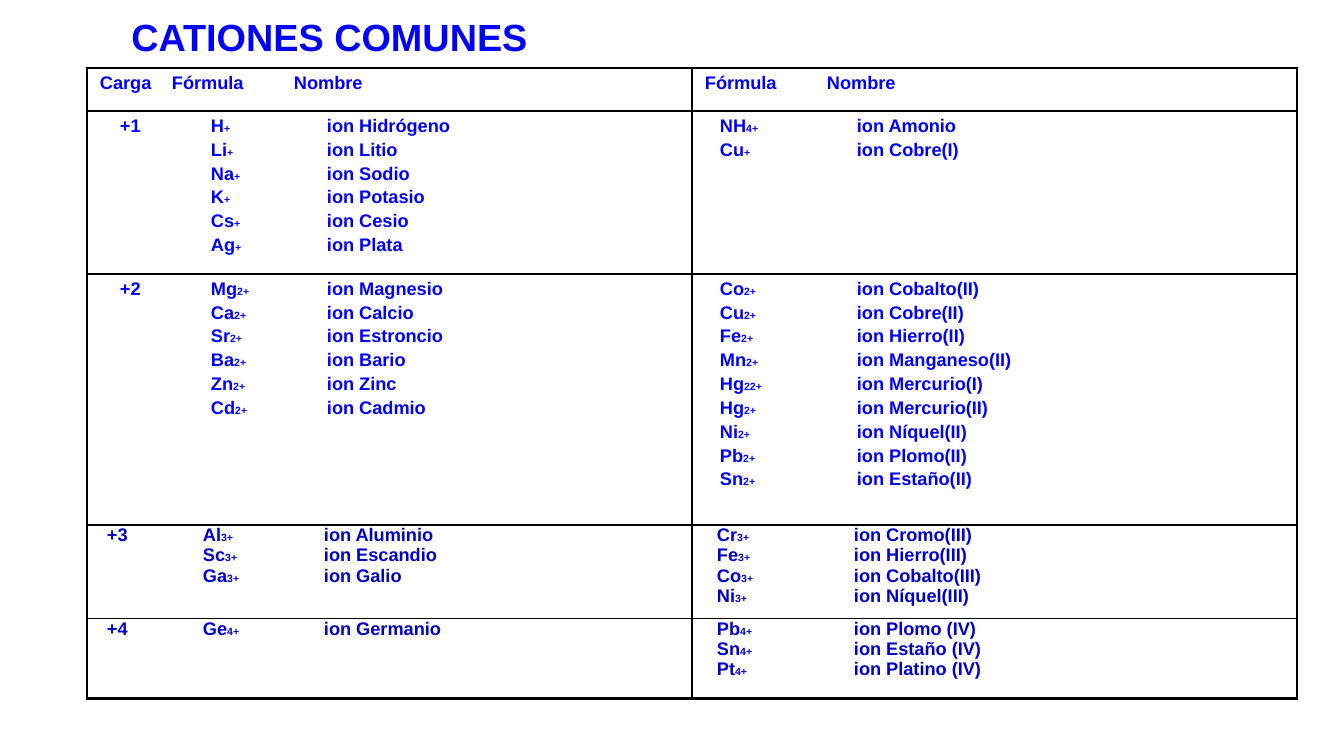
"""Builds a slide with a table of common cations by charge."""
from lxml.etree import SubElement
from pptx import Presentation
from pptx.dml.color import RGBColor
from pptx.enum.text import MSO_ANCHOR, PP_ALIGN
from pptx.oxml import parse_xml
from pptx.oxml.ns import nsdecls, qn
from pptx.util import Emu, Pt

BLUE = RGBColor(0x00, 0x00, 0xFF)
DARK_BLUE = RGBColor(0x00, 0x00, 0xCC)
BLACK = RGBColor(0x00, 0x00, 0x00)

ROW_HEIGHTS = [43, 163, 251, 94, 80]
COL_WIDTH = 605
HEADER_TABS = ([72, 194], [122])
UPPER_TABS = ([20, 111, 227], [15, 152])
LOWER_TABS = ([20, 116, 237], [25, 162])

CATIONS = [
    ("+1", "+",
     ["H Hidrógeno", "Li Litio", "Na Sodio", "K Potasio", "Cs Cesio", "Ag Plata"],
     ["NH4 Amonio", "Cu Cobre(I)"]),
    ("+2", "2+",
     ["Mg Magnesio", "Ca Calcio", "Sr Estroncio", "Ba Bario", "Zn Zinc", "Cd Cadmio"],
     ["Co Cobalto(II)", "Cu Cobre(II)", "Fe Hierro(II)", "Mn Manganeso(II)",
      "Hg2 Mercurio(I)", "Hg Mercurio(II)", "Ni Níquel(II)", "Pb Plomo(II)",
      "Sn Estaño(II)"]),
    ("+3", "3+",
     ["Al Aluminio", "Sc Escandio", "Ga Galio"],
     ["Cr Cromo(III)", "Fe Hierro(III)", "Co Cobalto(III)", "Ni Níquel(III)"]),
    ("+4", "4+",
     ["Ge Germanio"],
     ["Pb Plomo (IV)", "Sn Estaño (IV)", "Pt Platino (IV)"]),
]


def px(n):
    return Emu(round(n * 914400 / 100.8))


def add_line(tf, first, tabs, pieces, color, gap):
    p = tf.paragraphs[0] if first else tf.add_paragraph()
    if not first:
        p.space_before = Pt(gap)
    tab_list = SubElement(p._p.get_or_add_pPr(), qn("a:tabLst"))
    for pos in tabs:
        SubElement(tab_list, qn("a:tab"), pos=str(px(pos)), algn="l")
    for text, baseline in pieces:
        if text:
            r = p.add_run()
            r.text = text
            r.font.name, r.font.size, r.font.bold = "Arial", Pt(13), True
            r.font.color.rgb = color
            if baseline:
                r.font._element.set("baseline", str(baseline))


prs = Presentation()
prs.slide_width, prs.slide_height = px(1344), px(756)
s = prs.slides.add_slide(prs.slide_layouts[6])

title = s.shapes.add_textbox(px(0), px(5), px(659), px(62))
tf = title.text_frame
tf.word_wrap = True
tf.vertical_anchor = MSO_ANCHOR.MIDDLE
p = tf.paragraphs[0]
p.text = "CATIONES COMUNES"
p.alignment = PP_ALIGN.CENTER
p.font.name, p.font.size, p.font.bold = "Arial", Pt(27), True
p.font.color.rgb = BLUE

frame = s.shapes.add_table(5, 2, px(87), px(68), px(2 * COL_WIDTH), px(sum(ROW_HEIGHTS)))
table = frame.table
table.first_row = table.horz_banding = False
for col in table.columns:
    col.width = px(COL_WIDTH)
for row, height in zip(table.rows, ROW_HEIGHTS):
    row.height = px(height)

for i in range(5):
    for j in range(2):
        cell = table.cell(i, j)
        cell.fill.background()
        side, top = (13, 5) if i < 3 else (0, 0)
        cell.margin_left = cell.margin_right = px(side)
        cell.margin_top = cell.margin_bottom = px(top)
        outer = {"L": j == 0, "R": j == 1, "T": i == 0, "B": i == 4}
        for k, (edge, thick) in enumerate(outer.items()):
            width = Pt(2.25 if thick else 1)
            cell._tc.get_or_add_tcPr().insert(k, parse_xml(
                f'<a:ln{edge} {nsdecls("a")} w="{width}"><a:solidFill>'
                f'<a:srgbClr val="{BLACK}"/></a:solidFill></a:ln{edge}>'))

for j, heading in enumerate(["Carga\tFórmula\tNombre", "Fórmula\tNombre"]):
    add_line(table.cell(0, j).text_frame, True, HEADER_TABS[j], [(heading, 0)], BLUE, 0)

for i, (charge, sup, *columns) in enumerate(CATIONS, 1):
    tabs, color, gap = (UPPER_TABS, BLUE, 2.5) if i < 3 else (LOWER_TABS, DARK_BLUE, 0)
    for j, ions in enumerate(columns):
        for n, ion in enumerate(ions):
            formula, name = ion.split(" ", 1)
            symbol = formula.rstrip("24")
            lead = "\t" if j else f"\t{charge if n == 0 else ''}\t"
            pieces = [(lead + symbol, 0), (formula[len(symbol):], -25),
                      (sup, 30), (f"\tion {name}", 0)]
            add_line(table.cell(i, j).text_frame, n == 0, tabs[j], pieces, color, gap)

prs.save("out.pptx")
